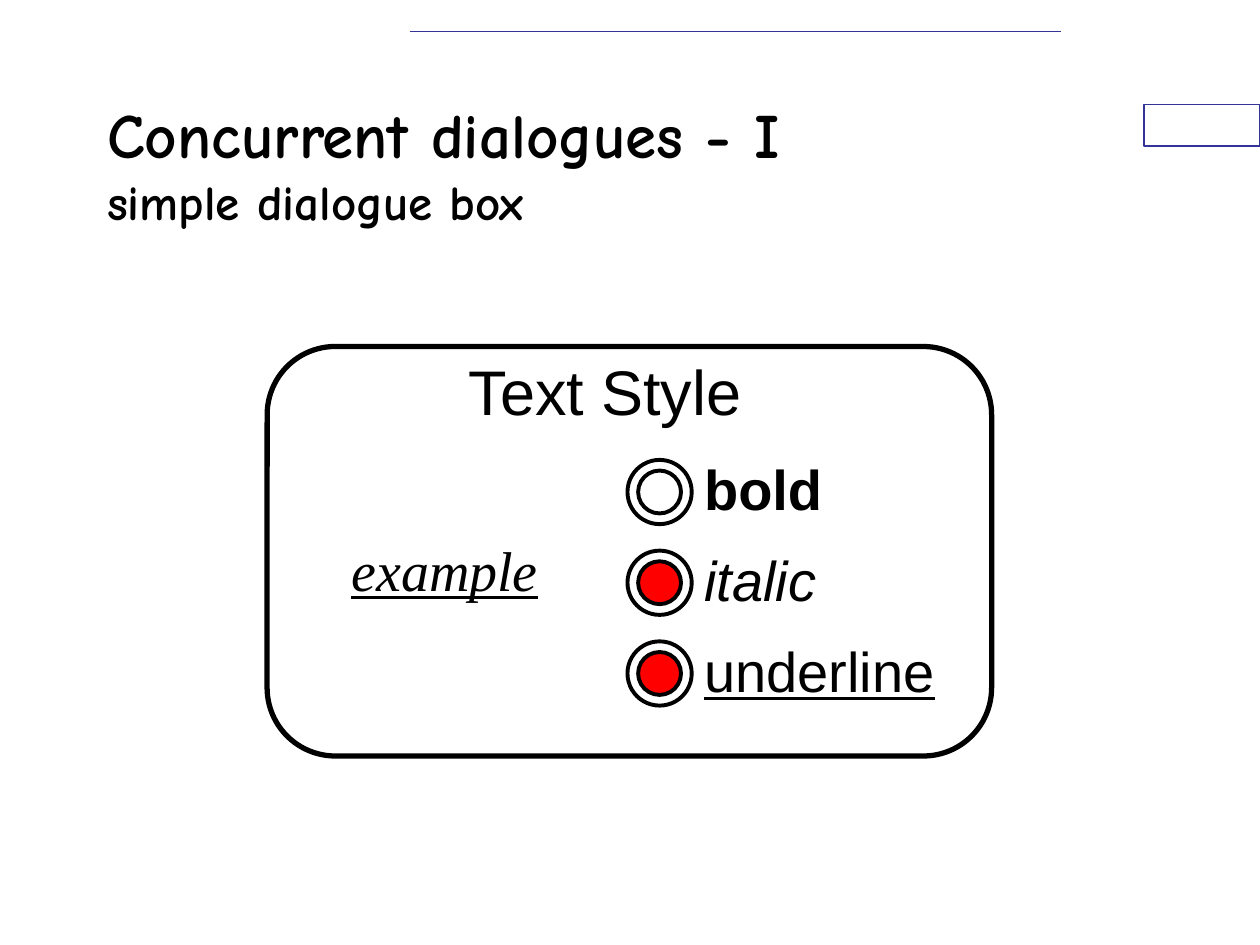
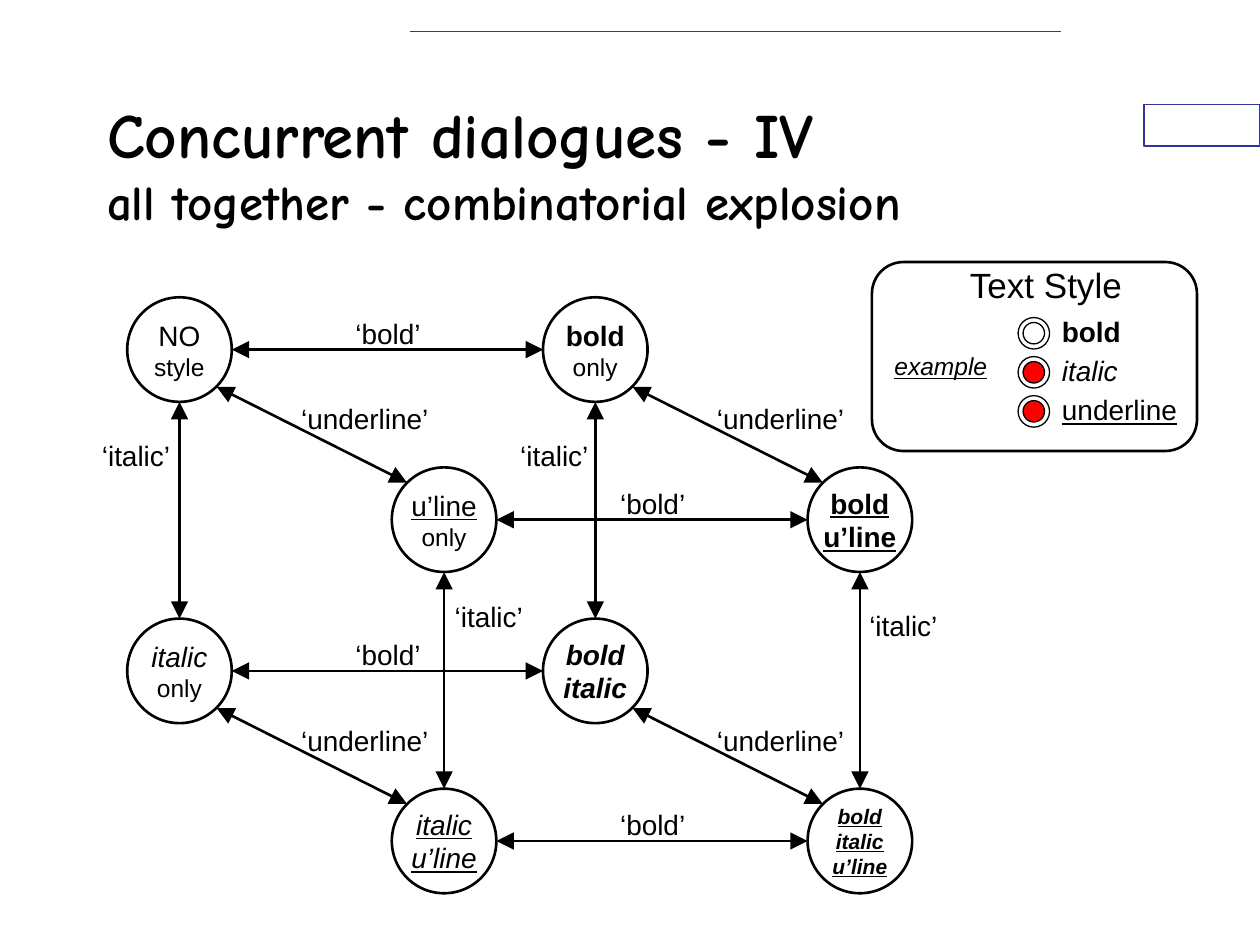
from itertools import product

from lxml.etree import SubElement
from pptx import Presentation
from pptx.dml.color import RGBColor
from pptx.enum.shapes import MSO_CONNECTOR as Connector, MSO_SHAPE as Preset
from pptx.enum.text import MSO_ANCHOR as Anchor, MSO_AUTO_SIZE as AutoSize, PP_ALIGN as Align
from pptx.oxml.ns import qn
from pptx.util import Inches, Pt

COLOURS = {"ink": "000000", "paper": "FFFFFF", "frame": "333399", "selected": "FF0000"}
TITLE_FONT, BODY_FONT, SERIF_FONT = "Comic Neue", "Arial", "Times New Roman"
TITLE_BOX = (0.75, 0.67, 7.5, 1.25)
STYLE_FORMATS = {"bold": {"bold": True}, "italic": {"italic": True},
                 "underline": {"underline": True}}

# Measures of the dialogue box; places are relative to its top left corner
LARGE_DIALOGUE = {
    "border": 3, "ring_line": 2.24,
    "heading": (1.5, 0, 2.42, 0.7), "heading_size": 36,
    "radio": (2.86, 0.9), "pitch": 0.72, "ring": 0.51, "dot": 0.34,
    "label_rise": 0.09, "label_height": 0.64, "label_widths": (1.14, 1.09, 2.03),
    "label_size": 32,
    "example": (0.57, 1.45, 1.68, 0.64), "example_size": 32, "example_font": SERIF_FONT,
}
SMALL_DIALOGUE = {
    "border": 1.5, "ring_line": 0.74,
    "heading": (0.68, -0.04, 1.44, 0.44), "heading_size": 20,
    "radio": (1.16, 0.44), "pitch": 0.31, "ring": 0.25, "dot": 0.17,
    "label_rise": 0.07, "label_height": 0.37, "label_widths": (0.67, 0.64, 1.11),
    "label_size": 16,
    "example": (0.08, 0.66, 0.98, 0.34), "example_size": 14, "example_font": BODY_FONT,
}

# Steps of the state cube, from one node to the next along each style
NODE = 0.83
BOLD_STEP = 3.3
ITALIC_STEP = 2.55
UNDERLINE_STEP = (2.1, 1.35)
# Place of each 'italic' label relative to its upper node, by (bold, underline)
ITALIC_LABELS = {(0, 0): (-0.3, 1.07), (1, 0): (-0.28, 1.07),
                 (0, 1): (0.4, 1.0), (1, 1): (0.39, 1.07)}


def colour(name):
    """Return a palette colour."""
    return RGBColor.from_string(COLOURS[name])


def format_run(run, size, font=BODY_FONT, **styles):
    """Set the font of a run."""
    run.font.color.rgb = colour("ink")
    for name, value in {"size": Pt(size), "name": font, **styles}.items():
        setattr(run.font, name, value)


def add_outline(slide, preset, box, width, line="ink", fill="paper"):
    """Add a filled and outlined preset shape."""
    shape = slide.shapes.add_shape(preset, *map(Inches, box))
    shape.shadow.inherit = False
    shape.fill.solid()
    shape.fill.fore_color.rgb = colour(fill)
    shape.line.color.rgb = colour(line)
    shape.line.width = Pt(width)
    return shape


def add_line(slide, start, end, width, line="ink", arrows=False):
    """Add a straight line, with large arrowheads at both ends if wanted."""
    connector = slide.shapes.add_connector(Connector.STRAIGHT, *map(Inches, start + end))
    connector.line.color.rgb = colour(line)
    connector.line.width = Pt(width)
    if arrows:
        outline = connector.line._get_or_add_ln()
        for tag in ("a:headEnd", "a:tailEnd"):
            SubElement(outline, qn(tag), type="triangle", w="lg", len="lg")
    SubElement(connector.element.spPr, qn("a:effectLst"))
    return connector


def add_label(slide, box, text, size, align=Align.LEFT, **styles):
    """Add one line of unwrapped text."""
    frame = slide.shapes.add_textbox(*map(Inches, box)).text_frame
    frame.word_wrap = False
    frame.auto_size = AutoSize.SHAPE_TO_FIT_TEXT
    paragraph = frame.paragraphs[0]
    paragraph.alignment = align
    run = paragraph.add_run()
    run.text = text
    format_run(run, size, **styles)


def decorate_layout(slide):
    """Put the top rule and the side tab on the layout that the slides share."""
    tab = add_outline(slide, Preset.RECTANGLE, (9.08, 0.83, 0.92, 0.33), 0.74, "frame")
    rule = add_line(slide, (3.25, 0.25), (8.42, 0.25), 1, "frame")
    for shape in (tab, rule):
        slide.slide_layout.shapes.element.append(shape.element)


def place_title(slide, box, heading, subheading):
    """Place the two-line title in its placeholder."""
    title = slide.shapes.title
    title.left, title.top, title.width, title.height = map(Inches, box)
    frame = title.text_frame
    frame.word_wrap = True
    frame.auto_size = AutoSize.NONE
    frame.vertical_anchor = Anchor.MIDDLE
    paragraph = frame.paragraphs[0]
    paragraph.alignment = Align.LEFT
    for text, size in ((heading, 36), (subheading, 28)):
        if paragraph.runs:
            paragraph.add_line_break()
        run = paragraph.add_run()
        run.text = text
        format_run(run, size, TITLE_FONT, bold=True)


def draw_dialogue(slide, box, measures):
    """Draw the Text Style dialogue with its three radio buttons."""
    left, top = box[:2]

    def place(x, y, width, height):
        """Move a box from dialogue to slide coordinates."""
        return left + x, top + y, width, height

    add_outline(slide, Preset.ROUNDED_RECTANGLE, box, measures["border"])
    add_label(slide, place(*measures["heading"]), "Text Style", measures["heading_size"])
    x, first_y = measures["radio"]
    ring, dot = measures["ring"], measures["dot"]
    inset = (ring - dot) / 2
    for index, (style, width) in enumerate(zip(STYLE_FORMATS, measures["label_widths"])):
        y = first_y + index * measures["pitch"]
        fill = "paper" if style == "bold" else "selected"
        add_outline(slide, Preset.OVAL, place(x, y, ring, ring), measures["ring_line"])
        add_outline(slide, Preset.OVAL, place(x + inset, y + inset, dot, dot),
                    measures["ring_line"], fill=fill)
        label_box = place(x + ring, y - measures["label_rise"], width, measures["label_height"])
        add_label(slide, label_box, style, measures["label_size"], **STYLE_FORMATS[style])
    add_label(slide, place(*measures["example"]), "example", measures["example_size"],
              font=measures["example_font"], italic=True, underline=True)


def draw_state(slide, box, bold, italic, underline):
    """Draw one state as a circle that names its active styles."""
    names = (("bold", bold), ("italic", italic), ("u\u2019line", underline))
    words = [name for name, active in names if active]
    styles = {"bold": bool(bold), "italic": bool(italic), "underline": bool(underline)}
    size = 12 if len(words) == 3 else 16
    lines = [(word, size, styles) for word in words or ["NO"]]
    if len(words) < 2:
        lines.append(("only" if words else "style", 14, {}))

    frame = add_outline(slide, Preset.OVAL, box, 1.5).text_frame
    frame.word_wrap = False
    frame.vertical_anchor = Anchor.MIDDLE
    for index, (text, points, line_styles) in enumerate(lines):
        paragraph = frame.add_paragraph() if index else frame.paragraphs[0]
        paragraph.alignment = Align.CENTER
        run = paragraph.add_run()
        run.text = text
        format_run(run, points, **line_styles)


def draw_transition(slide, origin, start, end, label, label_place, label_width):
    """Draw a two-way arrow and its label, relative to a node."""
    x, y = origin
    add_line(slide, (x + start[0], y + start[1]), (x + end[0], y + end[1]), 1.5, arrows=True)
    add_label(slide, (x + label_place[0], y + label_place[1], label_width, 0.37),
              f"\u2018{label}\u2019", 16, Align.CENTER)


def draw_state_cube(slide, left, top):
    """Draw the eight style states and the twelve transitions between them."""
    middle, near, far = NODE / 2, 0.12, 0.71
    shift_x, shift_y = UNDERLINE_STEP
    for bold, italic, underline in product((0, 1), repeat=3):
        x = left + bold * BOLD_STEP + underline * shift_x
        y = top + italic * ITALIC_STEP + underline * shift_y
        draw_state(slide, (x, y, NODE, NODE), bold, italic, underline)
        if not bold:
            draw_transition(slide, (x, y), (NODE, middle), (BOLD_STEP, middle),
                            "bold", (1.71, 0.1), 0.72)
        if not italic:
            draw_transition(slide, (x, y), (middle, ITALIC_STEP), (middle, NODE),
                            "italic", ITALIC_LABELS[bold, underline], 0.74)
        if not underline:
            draw_transition(slide, (x, y), (far, far), (shift_x + near, shift_y + near),
                            "underline", (1.28, 0.78), 1.21)


def build():
    """Build and save the presentation."""
    presentation = Presentation()
    presentation.slide_width, presentation.slide_height = Inches(10), Inches(7.5)
    title_only = presentation.slide_layouts[5]

    slide = presentation.slides.add_slide(title_only)
    decorate_layout(slide)
    place_title(slide, TITLE_BOX, "Concurrent dialogues - I", "simple dialogue box")
    draw_dialogue(slide, (2.12, 2.75, 5.75, 3.25), LARGE_DIALOGUE)

    slide = presentation.slides.add_slide(title_only)
    place_title(slide, TITLE_BOX, "Concurrent dialogues - IV",
                "all together - combinatorial explosion")
    draw_state_cube(slide, 1.01, 2.36)
    draw_dialogue(slide, (6.92, 2.08, 2.58, 1.5), SMALL_DIALOGUE)

    presentation.save("out.pptx")


build()
